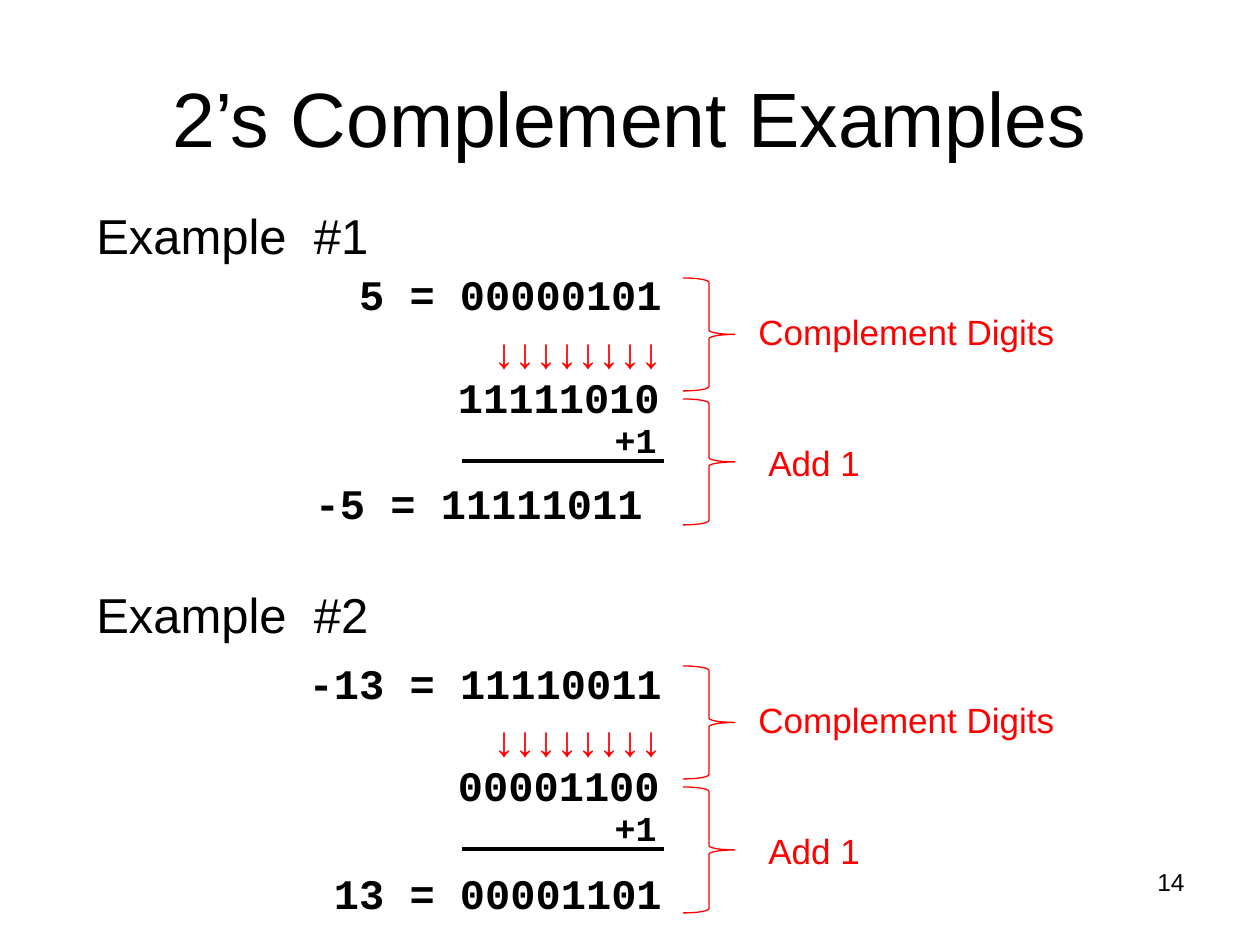
from pptx import Presentation
from pptx.dml.color import RGBColor
from pptx.enum.shapes import MSO_CONNECTOR as CONN, MSO_SHAPE as SHAPE
from pptx.enum.text import MSO_ANCHOR as ANCHOR, PP_ALIGN as ALIGN
from pptx.util import Emu, Pt
from lxml import etree

BLACK, RED = "000000", "FF0000"
MONO = "Courier New"
A_NS = "http://schemas.openxmlformats.org/drawingml/2006/main"


def px(n):
    return Emu(round(n * 914400 / 126))


def add_text(text, x, y, w, h, size, color=BLACK, font="Arial",
             bold=False, align=ALIGN.LEFT):
    tf = s.shapes.add_textbox(px(x), px(y), px(w), px(h)).text_frame
    tf.word_wrap = True
    tf.text = text
    p = tf.paragraphs[0]
    p.alignment = align
    f = p.runs[0].font
    f.size, f.name, f.bold = Pt(size), font, bold
    f.color.rgb = RGBColor.from_string(color)
    return tf


prs = Presentation()
prs.slide_width, prs.slide_height = px(1260), px(945)
s = prs.slides.add_slide(prs.slide_layouts[6])

title = add_text("2’s Complement Examples", 63, 38, 1134, 157, 44, align=ALIGN.CENTER)
title.vertical_anchor = ANCHOR.MIDDLE
add_text("14", 903, 861, 294, 65, 14, align=ALIGN.RIGHT)

examples = [
    ("Example  #1", 199, 0, "5 = 00000101", 262, "11111010", "-5 = 11111011", 471, 19),
    ("Example  #2", 578, 388, "-13 = 11110011", 651, "00001100", "13 = 00001101", 861, 0),
]

for name, name_y, dy, start, start_y, flipped, result, result_y, gap in examples:
    add_text(name, 84, name_y, 325, 72, 28)

    for caption, x, y, w, brace_y, brace_h in [
        ("Complement Digits", 746, 304, 367, 278, 113),
        ("Add 1", 756, 435, 315, 399, 126),
    ]:
        add_text(caption, x, y + dy, w, 55, 20, RED)
        sp = s.shapes.add_shape(SHAPE.RIGHT_BRACE, px(683), px(brace_y + dy),
                                px(52), px(brace_h))
        sp.shadow.inherit = False
        sp.fill.background()
        sp.line.color.rgb = RGBColor.from_string(RED)
        sp.line.width = Pt(0.75)

    for text, x, y, w, size, color, font in [
        (start, 233, start_y, 441, 24, BLACK, MONO),
        ("↓" * 8, 233, 320 + dy, 441, 24, RED, "Arial"),
        (flipped, 231, 365 + dy, 441, 24, BLACK, MONO),
        ("+1", 602, 412 + dy, 67, 20, BLACK, MONO),
    ]:
        add_text(text, x, y, w, 63, size, color, font, True, ALIGN.RIGHT)
    tf = add_text(result, 233, result_y, 441, 63, 24, BLACK, MONO, True, ALIGN.RIGHT)
    tf.margin_right += px(gap)

    line = s.shapes.add_connector(CONN.STRAIGHT, px(462), px(461 + dy),
                                  px(664), px(461 + dy))
    line.line.color.rgb = RGBColor.from_string(BLACK)
    line.line.width = Pt(2.25)
    etree.SubElement(line._element.spPr, f"{{{A_NS}}}effectLst")

prs.save("out.pptx")
